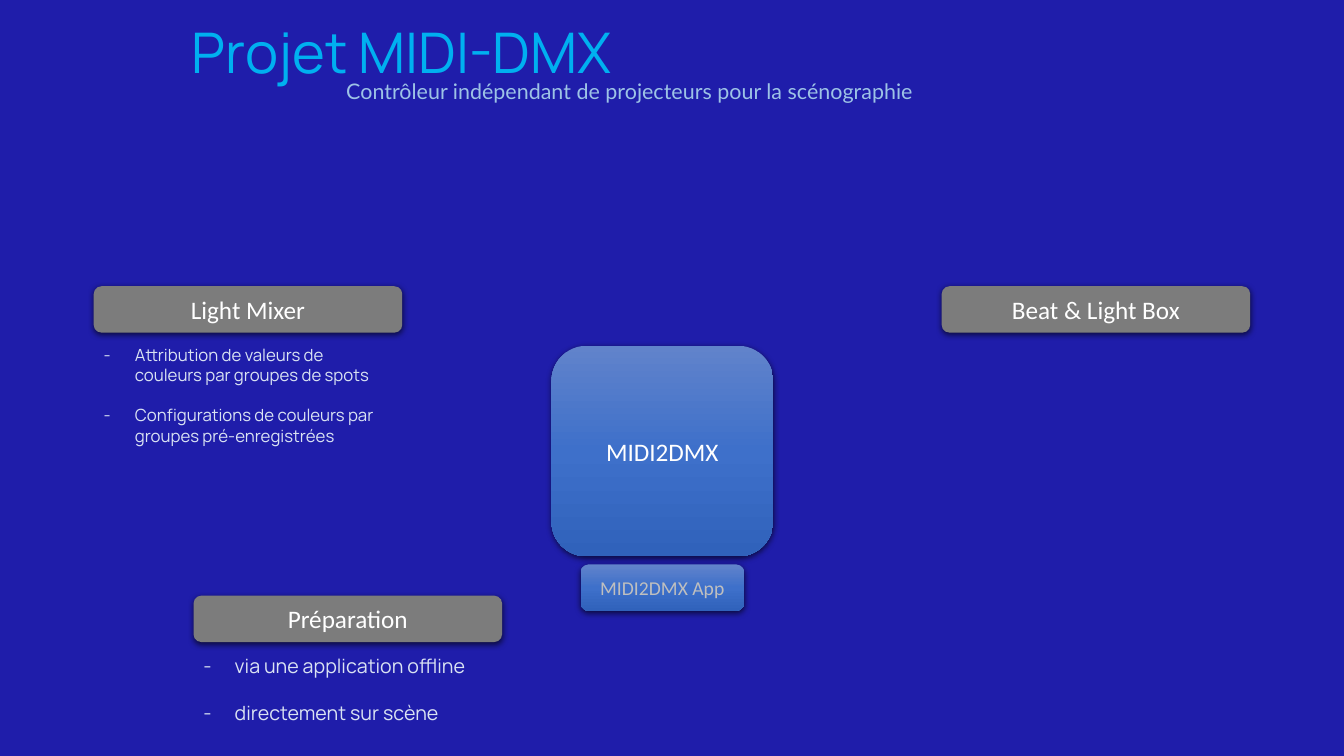
from lxml import etree
from pptx import Presentation
from pptx.dml.color import RGBColor
from pptx.enum.shapes import MSO_SHAPE
from pptx.enum.text import MSO_ANCHOR, PP_ALIGN
from pptx.oxml import parse_xml
from pptx.oxml.ns import nsdecls, qn
from pptx.util import Inches, Pt

CENTER, LEFT = PP_ALIGN.CENTER, PP_ALIGN.LEFT
TOP, MIDDLE, BOTTOM = MSO_ANCHOR.TOP, MSO_ANCHOR.MIDDLE, MSO_ANCHOR.BOTTOM
ROUNDED = MSO_SHAPE.ROUNDED_RECTANGLE

THEME = {
    "background": "1F1DAA",
    "module": "7C7C7C",
    "device": [(0, "6183CB"), (50, "3E70CA"), (100, "3062BB")],
    "title": {"font": "Manrope", "size": 40, "color": "00B0F0"},
    "subtitle": {"font": "Lato", "size": 15.3, "color": "9DC3E6"},
    "label": {"font": "Calibri", "size": 18, "color": "FFFFFF"},
    "app": {"font": "Calibri", "size": 14, "color": "BFBFBF"},
    "details": {"font": "Manrope", "size": 12, "color": "DAE3F3"},
    "steps": {"font": "Manrope", "size": 14, "color": "DAE3F3"},
}

# text, box (left, top, width, height), style, anchor, line spacing
HEADINGS = [
    ("Projet MIDI-DMX", (0.2, 0.21, 7.57, 0.69), "title", BOTTOM, 0.9),
    ("Contrôleur indépendant de projecteurs pour la scénographie",
     (2.29, 0.77, 7.91, 0.46), "subtitle", TOP, 0.8),
]
# text, box, style
DEVICES = [
    ("MIDI2DMX", (5.47, 3.43, 2.2, 2.09), "label"),
    ("MIDI2DMX App", (5.76, 5.6, 1.62, 0.46), "app"),
]
# name, left, top, style of the list, list
MODULES = [
    ("Light Mixer", 0.93, 2.84, "details", [
        "Attribution de valeurs de couleurs par groupes de spots",
        "Configurations de couleurs par groupes pré-enregistrées"]),
    ("Beat & Light Box", 9.34, 2.84, "details", []),
    ("Préparation", 1.92, 5.91, "steps", [
        "via une application offline", "directement sur scène"]),
]
MODULE_WIDTH, MODULE_HEIGHT = 3.06, 0.46
LIST_OFFSET, LIST_HEIGHT = 0.53, 0.9
LIST_INDENT = Inches(0.31)
LINE_FACTOR = 1.2


def write(frame, lines, style, align, anchor, spacing=None):
    """Fill a text frame with one styled paragraph per line."""
    look = THEME[style]
    frame.word_wrap = True
    frame.vertical_anchor = anchor
    for index, line in enumerate(lines):
        paragraph = frame.add_paragraph() if index else frame.paragraphs[0]
        paragraph.alignment = align
        paragraph.line_spacing = spacing
        run = paragraph.add_run()
        run.text = line
        formats = {"name": look["font"], "size": Pt(look["size"])}
        for attribute, value in formats.items():
            setattr(run.font, attribute, value)
        run.font.color.rgb = RGBColor.from_string(look["color"])


def add_text(slide, lines, box, style, align, anchor, spacing=None):
    """Add a text box and return its frame."""
    frame = slide.shapes.add_textbox(*map(Inches, box)).text_frame
    write(frame, lines, style, align, anchor, spacing)
    return frame


def add_shadow(shape):
    """Give a shape a soft shadow straight below it."""
    shape._element.spPr.append(parse_xml(
        f'<a:effectLst {nsdecls("a")}><a:outerShdw blurRad="{Pt(4.5)}" '
        f'dist="{Pt(1.5)}" dir="5400000" algn="ctr" rotWithShape="0">'
        '<a:srgbClr val="000000"><a:alpha val="63000"/></a:srgbClr>'
        '</a:outerShdw></a:effectLst>'))


def fill_gradient(shape, stops):
    """Fill a shape with a gradient running from top to bottom."""
    shape.fill.gradient()
    gradient = shape._element.spPr.find(qn("a:gradFill"))
    stop_list = gradient.find(qn("a:gsLst"))
    for stop in list(stop_list):
        stop_list.remove(stop)
    for position, color in stops:
        stop = etree.SubElement(stop_list, qn("a:gs"), pos=str(position * 1000))
        etree.SubElement(stop, qn("a:srgbClr"), val=color)
    gradient.find(qn("a:lin")).set("ang", "5400000")


def add_block(slide, text, box, style, fill):
    """Add a rounded block with a centred label."""
    block = slide.shapes.add_shape(ROUNDED, *map(Inches, box))
    if isinstance(fill, str):
        block.fill.solid()
        block.fill.fore_color.rgb = RGBColor.from_string(fill)
    else:
        fill_gradient(block, fill)
    block.line.fill.background()
    add_shadow(block)
    write(block.text_frame, [text], style, CENTER, MIDDLE)


def add_list(slide, items, box, style):
    """Add a dashed list with one empty line's height between items."""
    frame = add_text(slide, items, box, style, LEFT, TOP)
    for index, paragraph in enumerate(frame.paragraphs):
        if index:
            paragraph.space_before = Pt(LINE_FACTOR * THEME[style]["size"])
        properties = paragraph._p.get_or_add_pPr()
        properties.set("marL", str(LIST_INDENT))
        properties.set("indent", str(-LIST_INDENT))
        etree.SubElement(properties, qn("a:buFont"), typeface=THEME[style]["font"])
        etree.SubElement(properties, qn("a:buChar"), char="-")


def build():
    """Build the slide and save it."""
    deck = Presentation()
    deck.slide_width, deck.slide_height = Inches(13.33), Inches(7.5)
    slide = deck.slides.add_slide(deck.slide_layouts[6])
    slide.background.fill.solid()
    slide.background.fill.fore_color.rgb = RGBColor.from_string(THEME["background"])
    for text, box, style, anchor, spacing in HEADINGS:
        add_text(slide, [text], box, style, CENTER, anchor, spacing)
    for text, box, style in DEVICES:
        add_block(slide, text, box, style, THEME["device"])
    for name, left, top, style, items in MODULES:
        add_block(slide, name, (left, top, MODULE_WIDTH, MODULE_HEIGHT),
                  "label", THEME["module"])
        if items:
            add_list(slide, items,
                     (left, top + LIST_OFFSET, MODULE_WIDTH, LIST_HEIGHT), style)
    deck.save("out.pptx")


build()
